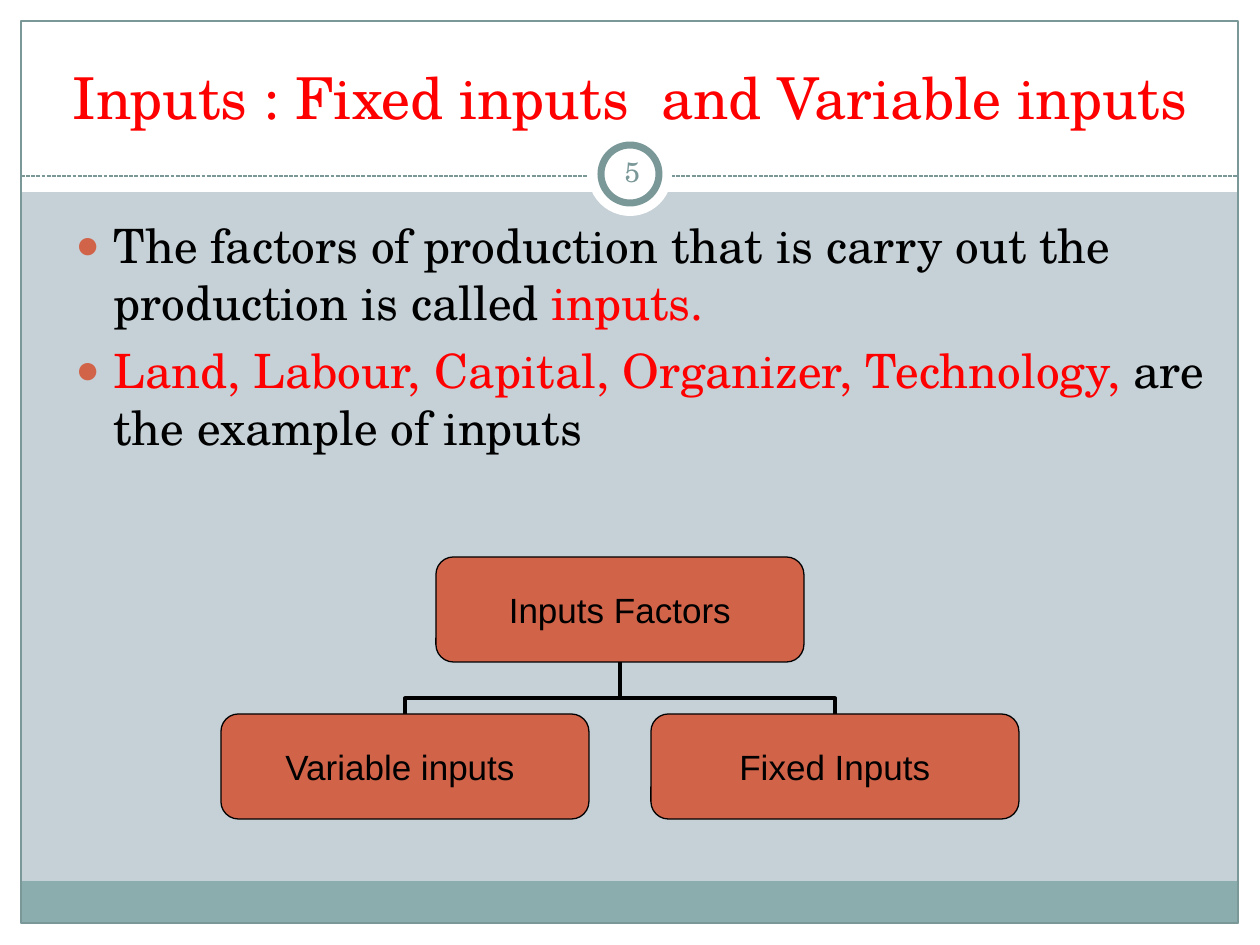
from dataclasses import dataclass

from lxml import etree
from pptx import Presentation
from pptx import util as u
from pptx.dml.color import RGBColor
from pptx.enum import dml, shapes, text
from pptx.oxml import ns


@dataclass
class Theme:
    back: str = "C5D1D7"
    white: str = "FFFFFF"
    band: str = "8CADAE"
    edge: str = "7B9899"
    box: str = "D16349"
    ink: str = "000000"
    red: str = "FF0000"
    serif: str = "TeX Gyre Schola"
    sans: str = "Arial"
    head: int = 33
    body: int = 27
    label: int = 20
    page: int = 16


look = Theme()
kind = shapes.MSO_SHAPE
link = shapes.MSO_CONNECTOR
mid = text.MSO_ANCHOR.MIDDLE
scale = 914400 / 126


def px(*nums):
    return [u.Emu(round(n * scale)) for n in nums]


def write(para, words, size, color=look.ink, face=look.serif, align=None):
    run = para.add_run()
    run.text = words
    run.font.size = u.Pt(size)
    run.font.name = face
    run.font.color.rgb = RGBColor.from_string(color)
    if align is not None:
        para.alignment = align


deck = Presentation()
deck.slide_width, deck.slide_height = px(1260, 945)
slide = deck.slides.add_slide(deck.slide_layouts[1])
slide.background.fill.solid()
slide.background.fill.fore_color.rgb = RGBColor.from_string(look.back)
tree = slide.shapes
mark = text.PP_ALIGN.CENTER

parts = [
    (kind.RECTANGLE, (0, 924, 1260, 21), look.white, 0),
    (kind.RECTANGLE, (0, 0, 1260, 192), look.white, 0),
    (kind.RECTANGLE, (0, 0, 21, 945), look.white, 0),
    (kind.RECTANGLE, (1239, 0, 21, 945), look.white, 0),
    (kind.RECTANGLE, (21, 881, 1217, 43), look.band, 0),
    (kind.RECTANGLE, (21, 21, 1217, 902), None, 0.75),
    (None, (21, 176, 1238, 176), look.edge, 0.75),
    (kind.OVAL, (588, 132, 84, 84), look.white, 0),
    (kind.OVAL, (601, 145, 58, 58), look.white, 4),
]
for form, area, fill, width in parts:
    if form is None:
        part = tree.add_connector(link.STRAIGHT, *px(*area))
        part.line.dash_style = dml.MSO_LINE.SQUARE_DOT
        etree.SubElement(part._element.spPr, ns.qn("a:effectLst"))
    else:
        part = tree.add_shape(form, *px(*area))
        part.shadow.inherit = False
        if fill:
            part.fill.solid()
            part.fill.fore_color.rgb = RGBColor.from_string(fill)
        else:
            part.fill.background()
    if width:
        part.line.color.rgb = RGBColor.from_string(look.edge)
        part.line.width = u.Pt(width)
    else:
        part.line.fill.background()

title, body = tree.title, tree.placeholders[1]
for hold, area, side in [
    (title, (42, 32, 1176, 105), text.MSO_ANCHOR.BOTTOM),
    (body, (63, 210, 1166, 284), text.MSO_ANCHOR.TOP),
]:
    hold.left, hold.top, hold.width, hold.height = px(*area)
    hold.text_frame.auto_size = text.MSO_AUTO_SIZE.NONE
    hold.text_frame.vertical_anchor = side
    tree._spTree.append(hold._element)

write(title.text_frame.paragraphs[0], "Inputs : Fixed inputs  and Variable inputs",
      look.head, color=look.red, align=mark)

points = [
    [("The factors of production that is carry out the production is called ", look.ink),
     ("inputs.", look.red)],
    [("Land, Labour, Capital, Organizer, Technology,", look.red),
     (" are the example of inputs", look.ink)],
]
for i, point in enumerate(points):
    frame = body.text_frame
    para = frame.add_paragraph() if i else frame.paragraphs[0]
    prop = para._p.get_or_add_pPr()
    prop.set("marL", str(px(38)[0]))
    prop.set("indent", str(px(-38)[0]))
    tint = etree.SubElement(prop, ns.qn("a:buClr"))
    etree.SubElement(tint, ns.qn("a:srgbClr"), val=look.box)
    etree.SubElement(prop, ns.qn("a:buSzPct"), val="85000")
    etree.SubElement(prop, ns.qn("a:buFont"), typeface=look.sans)
    etree.SubElement(prop, ns.qn("a:buChar"), char="●")
    para.space_before = u.Pt(6.8 * i)
    for words, color in point:
        write(para, words, look.body, color=color)

wide, tall = 368, 105
root, top, low, step = 620, 557, 714, 215
gap = low - top - tall
for sign, turn in [(1, 270), (-1, 90)]:
    x, y = root + sign * step / 2, low - gap / 2
    ends = (x - sign * gap / 2, y + step / 2, x + sign * gap / 2, y - step / 2)
    bend = tree.add_connector(link.ELBOW, *px(*ends))
    bend.line.color.rgb = RGBColor.from_string(look.ink)
    bend.line.width = u.Pt(2.25)
    prop = bend._element.spPr
    etree.SubElement(prop, ns.qn("a:effectLst"))
    prop.find(ns.qn("a:xfrm")).set("rot", str(turn * 60000))
    rule = prop.find(ns.qn("a:prstGeom")).find(ns.qn("a:avLst"))
    etree.SubElement(rule, ns.qn("a:gd"), name="adj1", fmla="val 29900")

for x, y, words in [
    (root, top, "Inputs Factors"),
    (root - step, low, "Variable inputs "),
    (root + step, low, "Fixed Inputs"),
]:
    box = tree.add_shape(kind.ROUNDED_RECTANGLE, *px(x - wide / 2, y, wide, tall))
    box.shadow.inherit = False
    box.fill.solid()
    box.fill.fore_color.rgb = RGBColor.from_string(look.box)
    box.line.color.rgb = RGBColor.from_string(look.ink)
    box.line.width = u.Pt(0.75)
    frame = box.text_frame
    frame.margin_left = frame.margin_right = frame.margin_top = frame.margin_bottom = 0
    frame.word_wrap = False
    frame.vertical_anchor = mid
    write(frame.paragraphs[0], words, look.label, face=look.sans, align=mark)

page = tree.add_textbox(*px(601, 141, 63, 60))
frame = page.text_frame
frame.margin_left = frame.margin_right = frame.margin_top = frame.margin_bottom = px(6)[0]
frame.word_wrap = True
frame.vertical_anchor = mid
write(frame.paragraphs[0], "5", look.page, color=look.edge, align=mark)

deck.save("out.pptx")
